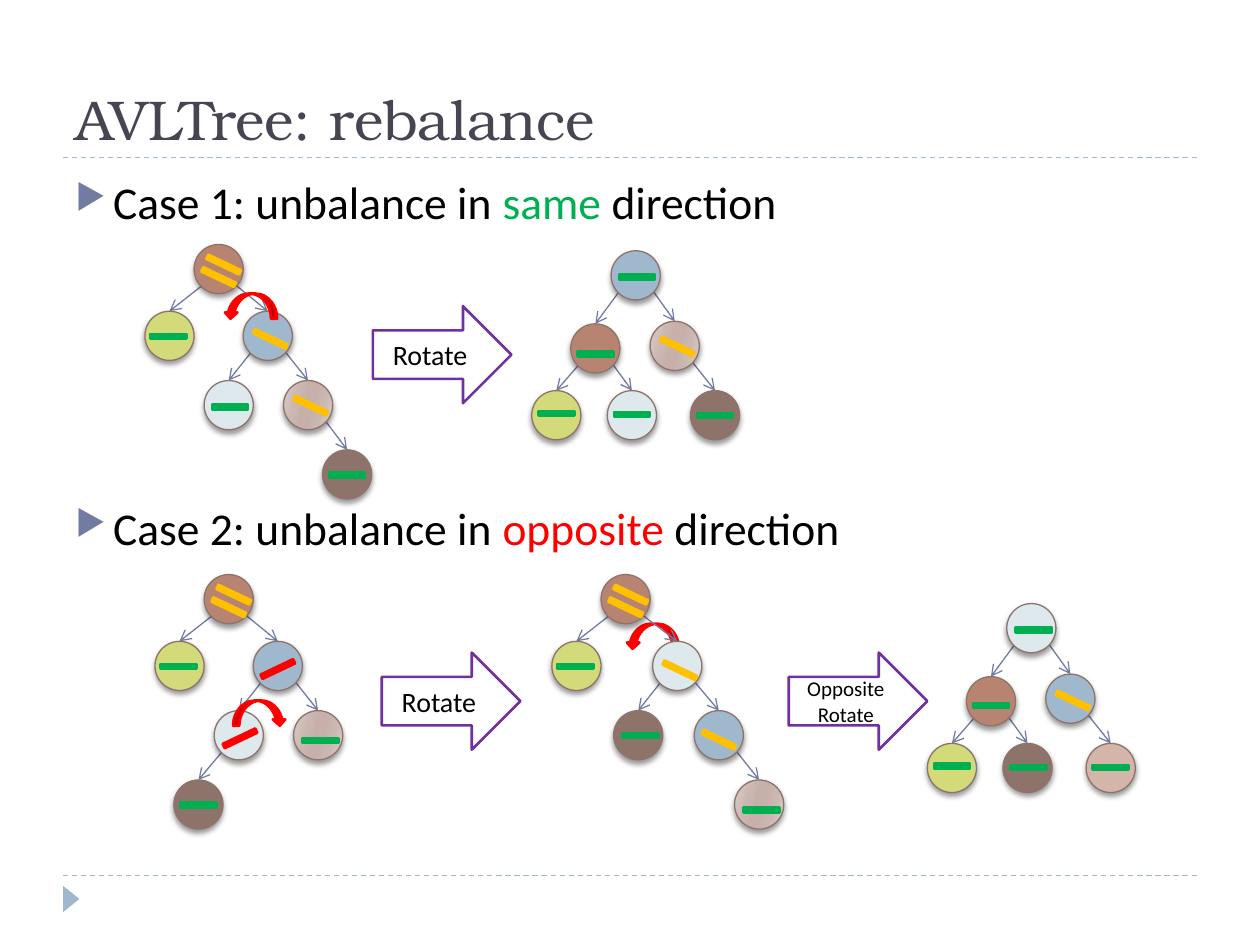
import copy
from dataclasses import dataclass

import pptx
import pptx.dml.color
import pptx.enum.dml
import pptx.enum.shapes
import pptx.enum.text
import pptx.oxml
import pptx.oxml.ns
import pptx.util
from lxml import etree

Inches, Pt = pptx.util.Inches, pptx.util.Pt
SHAPE = pptx.enum.shapes.MSO_SHAPE
ANCHOR = pptx.enum.text.MSO_ANCHOR
ALIGN = pptx.enum.text.PP_ALIGN
qn = pptx.oxml.ns.qn

COLORS = {
    "title": "464653", "text": "000000", "rule": "9FB8CD", "edge": "727CA3",
    "outline": "8E736A", "arrow": "7030A0", "green": "00B050",
    "amber": "FFC000", "red": "FF0000", "brown": "B88472", "lime": "D2DA7A",
    "blue": "9FB8CD", "pale": "DDE9EC", "dark": "8E736A", "pink": "D4B5AA",
}
MARBLE = [(0, "DACDCA"), (30, "CBB7B2"), (45, "C6B0A9"),
          (55, "C6B0A9"), (73, "CBB7B2"), (100, "DACDCA")]
NODE_SIZE = 0.39
MARK_HEIGHT = 0.16
TILTS = {"green": 0, "amber": 25.5, "red": -25.5}

# Offsets from the root; a slot name is the path of turns from the root.
TALL = {"": (0, 0), "L": (-0.39, 0.53), "R": (0.39, 0.53), "RL": (0.08, 1.08),
        "RR": (0.71, 1.08), "RLL": (-0.24, 1.63), "RRR": (1.02, 1.63)}
WIDE = TALL | {"R": (0.41, 0.53), "RL": (0.1, 1.08), "RR": (0.74, 1.08),
               "RRR": (1.06, 1.63)}
BALANCED = {"": (0, 0), "L": (-0.32, 0.58), "R": (0.31, 0.56),
            "LL": (-0.63, 1.11), "LR": (-0.03, 1.11), "RR": (0.63, 1.11)}


@dataclass
class Node:
    """A tree node and its balance mark, placed from the node's corner."""
    slot: str
    fill: str
    mark: str
    mark_x: float
    mark_y: float


@dataclass
class Tree:
    """A tree given by its root corner, its offsets and its nodes."""
    left: float
    top: float
    offsets: dict
    nodes: list


@dataclass
class Step:
    """A block arrow between two trees."""
    left: float
    top: float
    lines: list
    size: int


@dataclass
class Turn:
    """A curved arrow that shows the direction of a rotation."""
    left: float
    top: float
    flipped: bool


HEAVY = [Node("", "brown", "amber", 0.04, 0.08), Node("", "brown", "amber", 0, 0.18),
         Node("L", "lime", "green", -0.01, 0.12)]
TREES = [
    Tree(1.54, 1.94, TALL, HEAVY + [
        Node("R", "blue", "amber", 0.02, 0.14), Node("RL", "pale", "green", 0.01, 0.13),
        Node("RR", "marble", "amber", 0.02, 0.12), Node("RRR", "dark", "green", 0, 0.12)]),
    Tree(4.85, 1.99, BALANCED, [
        Node("", "blue", "green", 0.01, 0.13), Node("L", "brown", "green", 0, 0.16),
        Node("R", "marble", "amber", 0.02, 0.12), Node("LL", "lime", "green", 0, 0.1),
        Node("LR", "pale", "green", 0, 0.11), Node("RR", "dark", "green", 0, 0.12)]),
    Tree(1.62, 4.56, TALL, HEAVY + [
        Node("R", "blue", "red", 0, 0.14), Node("RL", "pale", "red", 0.01, 0.14),
        Node("RR", "marble", "green", 0.02, 0.16), Node("RLL", "dark", "green", 0, 0.12)]),
    Tree(4.77, 4.56, WIDE, HEAVY + [
        Node("R", "pale", "amber", 0.02, 0.15), Node("RL", "dark", "green", 0.02, 0.12),
        Node("RR", "blue", "amber", 0, 0.15), Node("RRR", "marble", "green", 0.02, 0.16)]),
    Tree(7.99, 4.79, BALANCED, [
        Node("", "pale", "green", 0.02, 0.13), Node("L", "brown", "green", 0, 0.15),
        Node("R", "blue", "amber", 0.02, 0.13), Node("LL", "lime", "green", 0, 0.1),
        Node("LR", "dark", "green", 0.01, 0.11), Node("RR", "pink", "green", 0, 0.11)]),
]
STEPS = [Step(2.96, 2.43, ["Rotate"], 16), Step(3.03, 5.18, ["Rotate"], 16),
         Step(6.26, 5.18, ["Opposite", "Rotate"], 12)]
TURNS_BEHIND = [Turn(4.97, 4.95, True)]
TURNS_FRONT = [Turn(1.78, 2.33, True), Turn(1.85, 5.56, False)]


def rgb(name: str):
    """Return the colour with this name."""
    return pptx.dml.color.RGBColor.from_string(COLORS[name])


def add_shape(slide, kind, left: float, top: float, width: float, height: float,
              fill: str = "", line: str = "", weight: float = 1.5, rotation: float = 0):
    """Add a preset shape without shadow; empty names mean no fill or line."""
    shape = slide.shapes.add_shape(kind, Inches(left), Inches(top),
                                   Inches(width), Inches(height))
    shape.shadow.inherit = False
    shape.rotation = rotation
    if fill == "marble":
        fill_marble(shape)
    elif fill:
        shape.fill.solid()
        shape.fill.fore_color.rgb = rgb(fill)
    else:
        shape.fill.background()
    if line:
        shape.line.color.rgb = rgb(line)
        shape.line.width = Pt(weight)
    else:
        shape.line.fill.background()
    return shape


def fill_marble(shape) -> None:
    """Give the shape the marble gradient."""
    shape.fill.gradient()
    shape.fill.gradient_angle = 344
    stops = shape._element.spPr.find(".//" + qn("a:gsLst"))
    for stop in list(stops):
        stops.remove(stop)
    for position, color in MARBLE:
        stop = etree.SubElement(stops, qn("a:gs"), pos=str(position * 1000))
        etree.SubElement(stop, qn("a:srgbClr"), val=color)


def add_soft_shadow(shape) -> None:
    """Drop a soft shadow straight below the shape."""
    effects = shape._element.spPr.find(qn("a:effectLst"))
    shadow = etree.SubElement(effects, qn("a:outerShdw"), blurRad=str(Pt(3)),
                              dist=str(Pt(2)), dir="5400000", rotWithShape="0")
    color = etree.SubElement(shadow, qn("a:srgbClr"), val="000000")
    etree.SubElement(color, qn("a:alpha"), val="40000")


def add_line(slide, start: tuple, end: tuple, color: str, *, dashed=False, arrow=False):
    """Add a thin straight line, dashed or with an arrowhead at its end."""
    line = slide.shapes.add_connector(pptx.enum.shapes.MSO_CONNECTOR.STRAIGHT,
                                      *(Inches(value) for value in start + end))
    line.line.color.rgb = rgb(color)
    line.line.width = Pt(0.75)
    if dashed:
        line.line.dash_style = pptx.enum.dml.MSO_LINE.DASH
    if arrow:
        etree.SubElement(line.line._get_or_add_ln(), qn("a:tailEnd"), type="arrow")
    etree.SubElement(line._element.spPr, qn("a:effectLst"))


def write_text(shape, paragraphs: list, *, size: float, font="Calibri",
               anchor=ANCHOR.TOP, align=ALIGN.LEFT) -> list:
    """Write paragraphs of (text, colour) runs and return the paragraphs."""
    frame = shape.text_frame
    frame.word_wrap = True
    frame.vertical_anchor = anchor
    for index, runs in enumerate(paragraphs):
        paragraph = frame.add_paragraph() if index else frame.paragraphs[0]
        paragraph.alignment = align
        for text, color in runs:
            run = paragraph.add_run()
            run.text = text
            run.font.size, run.font.name = Pt(size), font
            run.font.color.rgb = rgb(color)
    return list(frame.paragraphs)


def add_bullet(paragraph) -> None:
    """Give the paragraph a hanging triangle bullet."""
    properties = paragraph._p.get_or_add_pPr()
    properties.set("marL", str(Inches(0.3)))
    properties.set("indent", str(-Inches(0.3)))
    color = etree.SubElement(properties, qn("a:buClr"))
    etree.SubElement(color, qn("a:srgbClr"), val=COLORS["edge"])
    etree.SubElement(properties, qn("a:buSzPct"), val="76000")
    etree.SubElement(properties, qn("a:buChar"), char="\u25b6")


def draw_tree(slide, tree: Tree) -> None:
    """Draw the edges, then the nodes, then the balance marks."""
    places = {slot: (tree.left + x, tree.top + y) for slot, (x, y) in tree.offsets.items()}
    nodes = {node.slot: node for node in tree.nodes}
    for slot in filter(None, nodes):
        (parent_x, parent_y), (x, y) = places[slot[:-1]], places[slot]
        side = 0.06 if slot.endswith("L") else 0.34
        add_line(slide, (parent_x + side, parent_y + 0.33), (x + NODE_SIZE / 2, y),
                 "edge", arrow=True)
    for slot, node in nodes.items():
        add_soft_shadow(add_shape(slide, SHAPE.OVAL, *places[slot], NODE_SIZE, NODE_SIZE,
                                  node.fill, "outline", 0.75))
    for node in tree.nodes:
        x, y = places[node.slot]
        add_shape(slide, SHAPE.MATH_MINUS, x + node.mark_x, y + node.mark_y, NODE_SIZE,
                  MARK_HEIGHT, node.mark, node.mark, rotation=TILTS[node.mark])


def draw_turns(slide, turns: list) -> None:
    """Draw the curved rotation arrows."""
    for turn in turns:
        shape = add_shape(slide, SHAPE.CURVED_DOWN_ARROW, turn.left, turn.top,
                          0.42, 0.2, "red", "red")
        if turn.flipped:
            shape._element.spPr.get_or_add_xfrm().set("flipH", "1")


def draw_step(slide, step: Step) -> None:
    """Draw a labelled block arrow."""
    shape = add_shape(slide, SHAPE.RIGHT_ARROW, step.left, step.top, 1.1, 0.77, line="arrow")
    write_text(shape, [[(line, "text")] for line in step.lines], size=step.size,
               anchor=ANCHOR.MIDDLE, align=ALIGN.CENTER)


def draw_frame(slide) -> None:
    """Draw the rules, the corner triangle, the title and the two cases."""
    for y in (6.95, 1.25):
        add_line(slide, (0.5, y), (9.5, y), "rule", dashed=True)
    add_shape(slide, SHAPE.ISOSCELES_TRIANGLE, 0.46, 7.07, 0.21, 0.13, "rule", rotation=90)
    title, body = (slide.shapes.add_textbox(Inches(0.5), Inches(top), Inches(9), Inches(height))
                   for top, height in ((0.17, 1.08), (1.33, 5.4)))
    write_text(title, [[("AVLTree: rebalance", "title")]], size=32,
               font="TeX Gyre Bonum", anchor=ANCHOR.BOTTOM)
    cases = write_text(body, [
        [("Case 1: unbalance in ", "text"), ("same", "green"), (" direction", "text")],
        [("Case 2: unbalance in ", "text"), ("opposite ", "red"), ("direction", "text")],
    ], size=26)
    cases[1].space_before = Pt(155)
    for paragraph in cases:
        add_bullet(paragraph)


presentation = pptx.Presentation()
presentation.slide_width, presentation.slide_height = Inches(10), Inches(7.5)
slide = presentation.slides.add_slide(presentation.slide_layouts[6])
draw_frame(slide)
draw_turns(slide, TURNS_BEHIND)
for tree in TREES:
    draw_tree(slide, tree)
for step in STEPS:
    draw_step(slide, step)
draw_turns(slide, TURNS_FRONT)
presentation.save("out.pptx")
